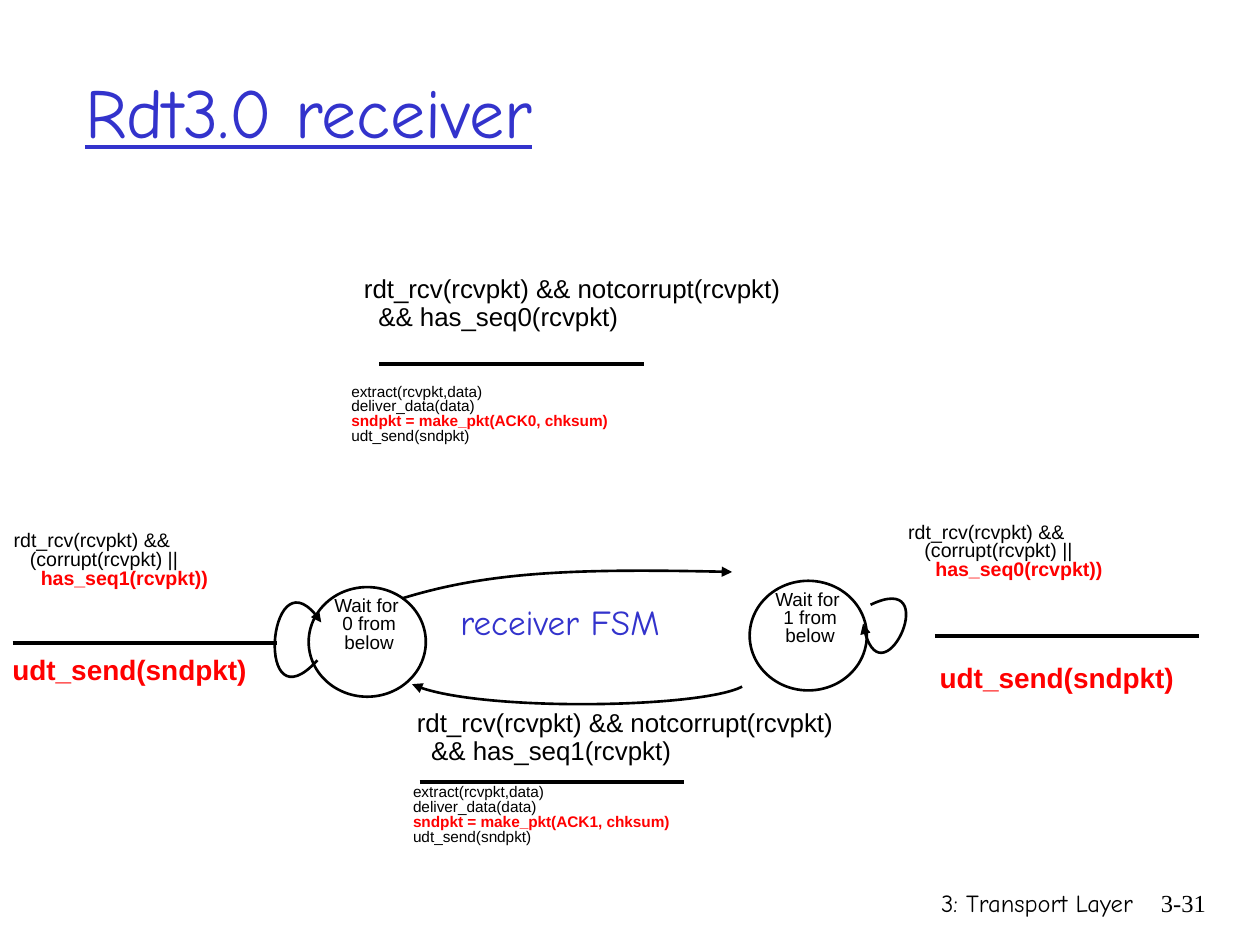
from pptx import Presentation
from pptx.dml.color import RGBColor
from pptx.enum.shapes import MSO_CONNECTOR, MSO_SHAPE
from pptx.enum.text import MSO_ANCHOR, PP_ALIGN
from pptx.oxml.ns import qn
from pptx.util import Inches, Pt
from lxml import etree

STRAIGHT = MSO_CONNECTOR.STRAIGHT
OVAL = MSO_SHAPE.OVAL
LEFT, CENTER, RIGHT = PP_ALIGN.LEFT, PP_ALIGN.CENTER, PP_ALIGN.RIGHT
MIDDLE, TOP = MSO_ANCHOR.MIDDLE, MSO_ANCHOR.TOP

WIDTH, HEIGHT = Inches(10), Inches(7.5)
COLUMNS, ROWS = 100, 75
COLORS = {"ink": "000000", "paper": "FFFFFF", "title": "3333CC", "alert": "FF0000"}
FORMATS = {
    "title": {"name": "Comic Neue", "size": Pt(40), "underline": True},
    "caption": {"name": "Comic Neue", "size": Pt(20)},
    "footer": {"name": "Comic Neue", "size": Pt(14)},
    "number": {"name": "Times New Roman", "size": Pt(14)},
    "state": {"name": "Arial", "size": Pt(10.8)},
    "event": {"name": "Arial", "size": Pt(14.8)},
    "action": {"name": "Arial", "size": Pt(8.8)},
    "error": {"name": "Arial", "size": Pt(11.2)},
    "reply": {"name": "Arial", "size": Pt(16)},
}


def col(count):
    """Return the length of a number of grid columns."""
    return round(WIDTH * count / COLUMNS)


def row(count):
    """Return the length of a number of grid rows."""
    return round(HEIGHT * count / ROWS)


def area(left, top, width, height):
    """Return a grid area as slide lengths."""
    return col(left), row(top), col(width), row(height)


def rgb(color):
    """Return the named colour."""
    return RGBColor.from_string(COLORS[color])


def add_text(shapes, place, lines, style, color="ink", align=LEFT, spacing=None,
             anchor=TOP, wrap=True):
    """Add a text box whose lines are strings or lists of (text, is_alert)."""
    frame = shapes.add_textbox(*area(*place)).text_frame
    frame.word_wrap = wrap
    frame.vertical_anchor = anchor
    for index, line in enumerate(lines):
        para = frame.add_paragraph() if index else frame.paragraphs[0]
        para.alignment = align
        para.line_spacing = spacing
        for text, is_alert in [(line, False)] if isinstance(line, str) else line:
            span = para.add_run()
            span.text = text
            span.font.bold = is_alert
            span.font.color.rgb = rgb("alert" if is_alert else color)
            for name, value in FORMATS[style].items():
                setattr(span.font, name, value)


def add_rule(shapes, left, top):
    """Add the horizontal bar between an event and its actions."""
    bar = shapes.add_connector(STRAIGHT, col(left), row(top), col(left + 21), row(top))
    bar.line.color.rgb = rgb("ink")
    bar.line.width = Pt(2.25)
    etree.SubElement(bar._element.spPr, qn("a:effectLst"))


def add_arc(shapes, start, *points):
    """Add a cubic curve that ends in an arrowhead."""
    builder = shapes.build_freeform(col(start[0]), row(start[1]))
    builder.add_line_segments([(col(x), row(y)) for x, y in points], close=False)
    arc = builder.convert_to_shape()
    arc.shadow.inherit = False
    arc.fill.background()
    arc.line.color.rgb = rgb("ink")
    arc.line.width = Pt(1.5)
    etree.SubElement(arc.line._get_or_add_ln(), qn("a:tailEnd"), type="triangle")
    outline = next(arc._element.iter(qn("a:path")))
    segments = outline.findall(qn("a:lnTo"))
    curve = etree.SubElement(outline, qn("a:cubicBezTo"))
    for segment in segments:
        curve.append(segment[0])
        outline.remove(segment)


def add_state(shapes, left, top, number):
    """Add a state circle with its label."""
    state = shapes.add_group_shape().shapes
    circle = state.add_shape(OVAL, *area(left, top, 9.3, 8.7))
    circle.shadow.inherit = False
    circle.fill.solid()
    circle.fill.fore_color.rgb = rgb("paper")
    circle.line.color.rgb = rgb("ink")
    circle.line.width = Pt(1.5)
    add_text(state, (left + 0.45, top + 0.4, 8.7, 6.7),
             ["Wait for ", f"{number} from below"], "state", align=CENTER, spacing=0.8)


def add_delivery(shapes, number, event, rule, action):
    """Add the event, bar and actions of an accepted packet."""
    add_text(shapes, (*event, 43.1, 6.3),
             ["rdt_rcv(rcvpkt) && notcorrupt(rcvpkt)", f"  && has_seq{number}(rcvpkt)"],
             "event", spacing=0.9)
    add_rule(shapes, *rule)
    add_text(shapes, (*action, 45.7, 7.6),
             ["extract(rcvpkt,data)", "deliver_data(data)",
              [(f"sndpkt = make_pkt(ACK{number}, chksum)", True)], "udt_send(sndpkt)"],
             "action", spacing=0.8)


def add_rejection(shapes, number, event, rule, reply):
    """Add the event, bar and reply of a refused packet."""
    add_text(shapes, (*event, 25.8, 7),
             ["rdt_rcv(rcvpkt) &&", "   (corrupt(rcvpkt) ||",
              [("     ", False), (f"has_seq{number}(rcvpkt))", True)]],
             "error", spacing=0.8)
    add_rule(shapes, *rule)
    add_text(shapes, (*reply, 26.4, 4.6), [[("udt_send(sndpkt)", True)]], "reply")


def main():
    """Build the receiver state machine slide."""
    deck = Presentation()
    deck.slide_width, deck.slide_height = WIDTH, HEIGHT
    page = deck.slides.add_slide(deck.slide_layouts[6])
    shapes = page.shapes

    add_text(shapes, (59.2, 70, 31.7, 5), ["3: Transport Layer"], "footer", align=RIGHT)
    add_text(shapes, (89.3, 70, 7.4, 5), ["3-31"], "number", align=RIGHT)
    add_text(shapes, (5.8, 2.5, 85, 12.5), ["Rdt3.0 receiver"], "title", "title",
             anchor=MIDDLE)

    add_state(shapes, 24.5, 46.6, 0)
    add_state(shapes, 59.5, 46.1, 1)
    add_text(shapes, (35.5, 47.2, 17.9, 7.7), ["receiver FSM"], "caption", "title",
             align=CENTER, wrap=False)

    add_arc(shapes, (31.9, 47.5), (38.7, 45.4), (45.8, 45.1), (58.1, 45.4))
    add_arc(shapes, (58.9, 54.5), (55.6, 56.2), (37.3, 56.5), (32.7, 54.3))
    add_arc(shapes, (25.2, 52.4), (20.2, 57.9), (21.3, 43.1), (25.5, 49.4))
    add_arc(shapes, (69.1, 48), (74.9, 45.2), (69.8, 56.5), (68.5, 49.5))

    add_delivery(shapes, 0, event=(27.9, 21.4), rule=(30.1, 28.9), action=(26.9, 30.1))
    add_delivery(shapes, 1, event=(32.1, 55.9), rule=(33.3, 62.1), action=(31.8, 61.9))
    add_rejection(shapes, 1, event=(0.1, 41.8), rule=(1, 51), reply=(0, 51.3))
    add_rejection(shapes, 0, event=(71.1, 41.1), rule=(74.2, 50.5), reply=(73.6, 51.9))

    deck.save("out.pptx")


if __name__ == "__main__":
    main()
